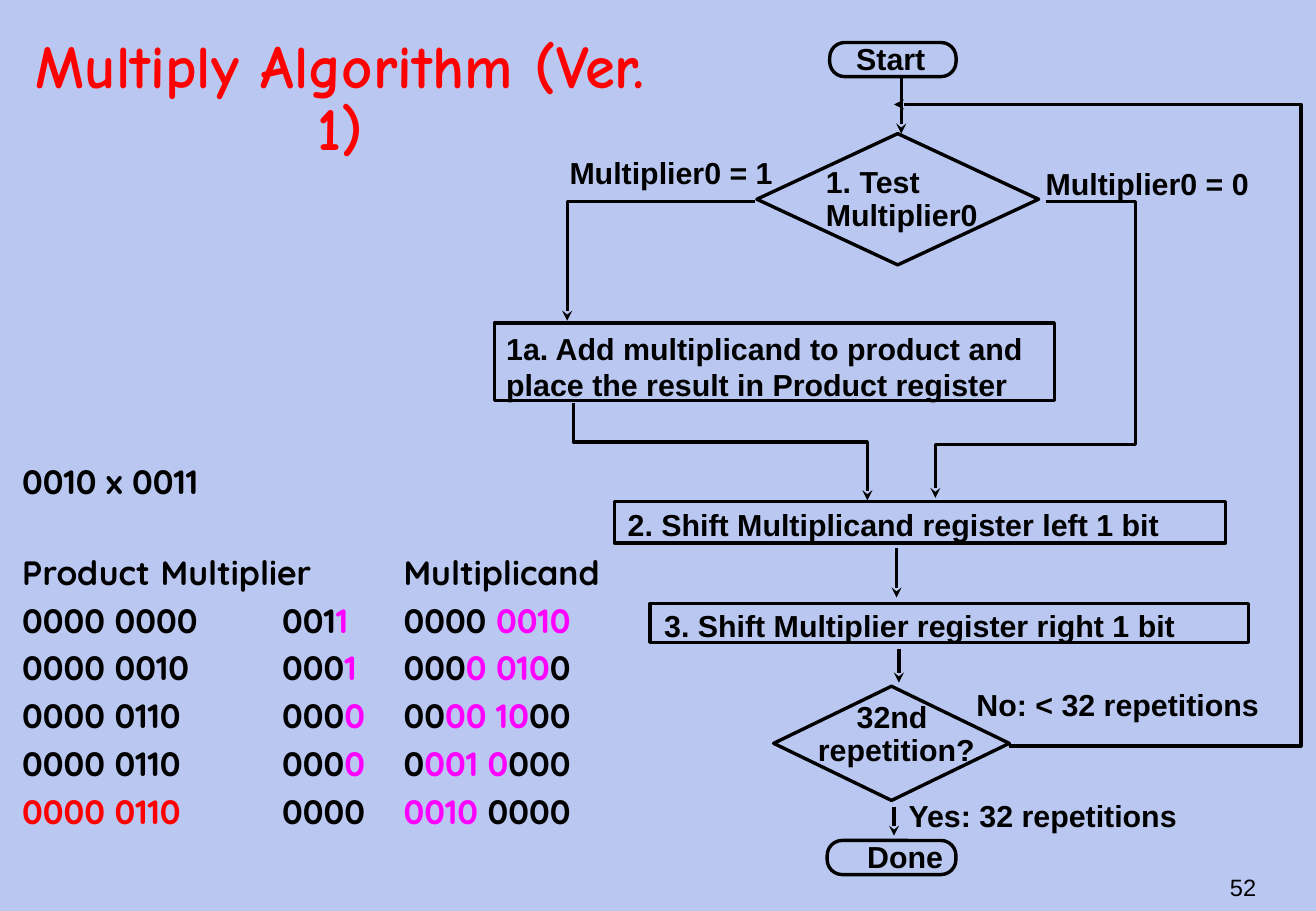
from dataclasses import dataclass

from lxml.etree import SubElement
from pptx import Presentation
from pptx.dml.color import RGBColor
from pptx.enum.shapes import MSO_CONNECTOR as Line, MSO_SHAPE as Shape
from pptx.enum.text import MSO_ANCHOR as Anchor, MSO_AUTO_SIZE as Fit, PP_ALIGN as Align
from pptx.oxml.ns import qn
from pptx.util import Pt

BLACK, RED, PINK = "000000", "FF0000", "FF00FF"


@dataclass
class Label:
    lines: list[str]
    left: float
    top: float
    width: float
    height: float = 28.8
    align: Align = Align.LEFT
    spacing: float = 1.0


@dataclass
class Node:
    kind: Shape
    left: float
    top: float
    width: float
    height: float


@dataclass
class BodyLine:
    spans: list[tuple[str, str]]
    spacing: float = 1.1
    before: float = 2


LABELS = [
    Label(["Start"], 500.4, 20.2, 60.5),
    Label(["1. Test", "Multiplier0"], 482.4, 95.8, 113, 46.1, spacing=0.9),
    Label(["Multiplier0 = 1"], 330.5, 87.8, 146.2),
    Label(["Multiplier0 = 0"], 612.7, 94.3, 146.2),
    Label(["1a. Add multiplicand to product and", "place the result in Product register"],
          293, 192.2, 326.2, 50.4),
    Label(["2. Shift Multiplicand register left 1 bit"], 365, 296.6, 357.1),
    Label(["3. Shift Multiplier register right 1 bit"], 386.6, 356.4, 344.2),
    Label(["32nd ", "repetition?"], 473, 412.6, 116.6, 46.1, Align.CENTER, 0.9),
    Label(["No: < 32 repetitions"], 571.7, 403.2, 197.3),
    Label(["Yes: 32 repetitions"], 531.4, 468.7, 188.6),
    Label(["Done"], 506.9, 493.2, 64.8),
]

NODES = [
    Node(Shape.ROUNDED_RECTANGLE, 491.8, 25.2, 74.9, 20.2),
    Node(Shape.DIAMOND, 448.6, 79.2, 167, 77.8),
    Node(Shape.RECTANGLE, 293, 191.5, 331.9, 46.1),
    Node(Shape.RECTANGLE, 364.3, 297.4, 362.2, 24.5),
    Node(Shape.RECTANGLE, 385.2, 357.8, 355, 23),
    Node(Shape.DIAMOND, 458.6, 406.8, 139.7, 67.7),
    Node(Shape.ROUNDED_RECTANGLE, 490.3, 498.2, 76.3, 20.2),
]

# Each arrow is the list of its corner points
ARROWS = [
    [(534.2, 46.1), (534.2, 79.2)],
    [(447.8, 119.5), (336.2, 119.5), (336.2, 190.1)],
    [(619.9, 119.5), (673.2, 119.5), (673.2, 263.5), (554.4, 263.5), (554.4, 295.2)],
    [(339.8, 239), (339.8, 262.1), (514.1, 262.1), (514.1, 296.6)],
    [(531.4, 324.7), (531.4, 354.2)],
    [(532.8, 384.5), (532.8, 404.6)],
    [(598.3, 442.1), (771.1, 442.1), (771.1, 61.9), (529.9, 61.9)],
    [(529.9, 478.1), (529.9, 495.4)],
]

BODY = [
    BodyLine([("0010 x 0011", BLACK)], spacing=0.9),
    BodyLine([("Product\tMultiplier \tMultiplicand", BLACK)], before=27),
    BodyLine([("0000 0000\t001", BLACK), ("1", PINK), ("\t0000 ", BLACK), ("0010", PINK)]),
    BodyLine([("0000 0010\t000", BLACK), ("1", PINK), ("\t000", BLACK), ("0 010", PINK), ("0", BLACK)]),
    BodyLine([("0000 0110\t000", BLACK), ("0", PINK), ("\t00", BLACK), ("00 10", PINK), ("00", BLACK)]),
    BodyLine([("0000 0110\t000", BLACK), ("0", PINK), ("\t0", BLACK), ("001 0", PINK), ("000", BLACK)]),
    BodyLine([("0000 0110", RED), ("\t0000\t", BLACK), ("0010", PINK), (" 0000", BLACK)]),
]


def paint(color_format, value: str) -> None:
    color_format.rgb = RGBColor.from_string(value)


def place(shape, left: float, top: float, width: float, height: float) -> None:
    shape.left, shape.top, shape.width, shape.height = Pt(left), Pt(top), Pt(width), Pt(height)


def add_span(para, text: str, font: str, size: float, color: str, bold: bool = True) -> None:
    span = para.add_run()
    span.text = text
    span.font.name, span.font.size, span.font.bold = font, Pt(size), bold
    paint(span.font.color, color)


def next_para(frame, index: int):
    return frame.add_paragraph() if index else frame.paragraphs[0]


def outline(shape) -> None:
    shape.line.width = Pt(2)
    shape.line.fill.solid()
    paint(shape.line.fill.fore_color, BLACK)


def add_node(page, node: Node) -> None:
    shape = page.shapes.add_shape(
        node.kind, Pt(node.left), Pt(node.top), Pt(node.width), Pt(node.height))
    if node.kind == Shape.ROUNDED_RECTANGLE:
        shape.adjustments[0] = 0.44
    shape.fill.background()
    shape.shadow.inherit = False
    outline(shape)


def add_label(page, label: Label) -> None:
    box = page.shapes.add_textbox(
        Pt(label.left), Pt(label.top), Pt(label.width), Pt(label.height))
    frame = box.text_frame
    frame.word_wrap = False
    frame.auto_size = Fit.SHAPE_TO_FIT_TEXT
    for index, line in enumerate(label.lines):
        para = next_para(frame, index)
        para.alignment, para.line_spacing = label.align, label.spacing
        add_span(para, line, "Arial", 18, BLACK)


def add_arrow(page, points: list[tuple[float, float]]) -> None:
    corners = [(Pt(x), Pt(y)) for x, y in points]
    if len(corners) == 2:
        arrow = page.shapes.add_connector(Line.STRAIGHT, *corners[0], *corners[1])
        SubElement(arrow._element.spPr, qn("a:effectLst"))
    else:
        builder = page.shapes.build_freeform(*corners[0])
        builder.add_line_segments(corners[1:], close=False)
        arrow = builder.convert_to_shape()
        arrow.fill.background()
        arrow.shadow.inherit = False
    outline(arrow)
    SubElement(arrow.line._get_or_add_ln(), qn("a:tailEnd"), type="stealth")


def fill_title(title) -> None:
    place(title, 0, 26.6, 403.2, 66.2)
    frame = title.text_frame
    frame.auto_size, frame.vertical_anchor = Fit.NONE, Anchor.MIDDLE
    para = frame.paragraphs[0]
    para.alignment, para.line_spacing = Align.CENTER, 0.85
    add_span(para, "Multiply Algorithm (Ver. 1)", "Comic Neue", 36, RED)


def fill_body(body) -> None:
    place(body, 0, 272.2, 372.2, 250.6)
    frame = body.text_frame
    frame.auto_size, frame.vertical_anchor = Fit.NONE, Anchor.TOP
    for index, line in enumerate(BODY):
        para = next_para(frame, index)
        para.line_spacing, para.space_before = line.spacing, Pt(line.before)
        # Hanging indent, one-inch tab steps, no bullet
        props = para._p.get_or_add_pPr()
        props.set("marL", str(Pt(16)))
        props.set("indent", str(Pt(-10)))
        props.set("defTabSz", str(Pt(72)))
        SubElement(props, qn("a:buNone"))
        for text, color in line.spans:
            add_span(para, text, "Quicksand", 20, color)


def add_page_number(page) -> None:
    box = page.shapes.add_textbox(Pt(589), Pt(507.6), Pt(162.7), Pt(36))
    frame = box.text_frame
    frame.word_wrap, frame.vertical_anchor = False, Anchor.MIDDLE
    para = frame.paragraphs[0]
    para.alignment = Align.RIGHT
    add_span(para, "52", "Arial", 14, BLACK, bold=False)


def main() -> None:
    deck = Presentation()
    deck.slide_width, deck.slide_height = Pt(780), Pt(540)
    page = deck.slides.add_slide(deck.slide_layouts[1])
    page.background.fill.solid()
    paint(page.background.fill.fore_color, "BAC8F1")

    # Title and worked example
    fill_title(page.shapes.title)
    fill_body(page.placeholders[1])

    # Flowchart
    for node in NODES:
        add_node(page, node)
    for label in LABELS:
        add_label(page, label)
    for points in ARROWS:
        add_arrow(page, points)
    add_page_number(page)

    deck.save("out.pptx")


if __name__ == "__main__":
    main()
